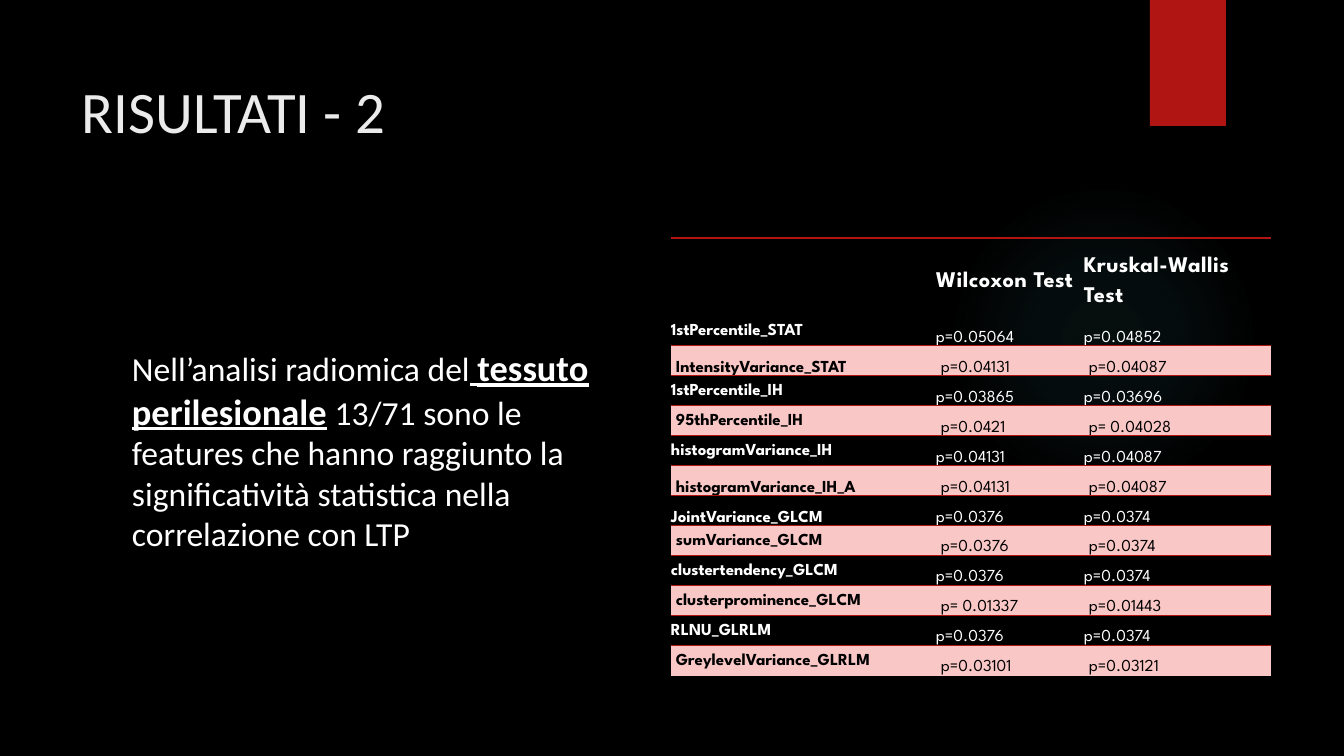
from lxml.etree import fromstring
from pptx import Presentation
from pptx.dml.color import RGBColor as RGB
from pptx.enum.shapes import MSO_SHAPE as SHAPE
from pptx.enum.text import MSO_ANCHOR as ANCHOR, MSO_AUTO_SIZE as AUTO, PP_ALIGN as ALIGN
from pptx.oxml.ns import nsdecls
from pptx.util import Pt

# Content
TITLE = "RISULTATI - 2"
FINDING = [
    ("Nell’analisi radiomica del", {"size": Pt(24)}),
    (" ", {"size": Pt(24), "underline": True}),
    ("tessuto perilesionale", {"size": Pt(26), "underline": True, "bold": True}),
    (" 13/71 sono le features che hanno raggiunto la significatività "
     "statistica nella correlazione con LTP", {"size": Pt(24)}),
]
TESTS = ("", "Wilcoxon Test", "Kruskal-Wallis Test")
FEATURES = [
    ("1stPercentile_STAT", "p=0.05064", "p=0.04852"),
    ("IntensityVariance_STAT", "p=0.04131", "p=0.04087"),
    ("1stPercentile_IH", "p=0.03865", "p=0.03696"),
    ("95thPercentile_IH", "p=0.0421", "p= 0.04028"),
    ("histogramVariance_IH", "p=0.04131", "p=0.04087"),
    ("histogramVariance_IH_A", "p=0.04131", "p=0.04087"),
    ("JointVariance_GLCM", "p=0.0376", "p=0.0374"),
    ("sumVariance_GLCM", "p=0.0376", "p=0.0374"),
    ("clustertendency_GLCM", "p=0.0376", "p=0.0374"),
    ("clusterprominence_GLCM", "p= 0.01337", "p=0.01443"),
    ("RLNU_GLRLM", "p=0.0376", "p=0.0374"),
    ("GreylevelVariance_GLRLM", "p=0.03101", "p=0.03121"),
]
LOW_NAMES = {"IntensityVariance_STAT", "histogramVariance_IH_A", "JointVariance_GLCM"}

# Look
COLORS = {"black": "000000", "white": "FFFFFF", "title": "EBEBEB",
          "red": "B01513", "pink": "F9C7C6", "glow": "50B9C1"}
TEXT_FONT, TABLE_FONT = "Calibri", "League Spartan"
GLOW_STOPS = [(0, 7), (36, 6), (69, 0)]  # position %, opacity %
NO_GRID_STYLE = "{2D5ABB26-0587-4C30-8999-92F81FD0307C}"
COLUMN_WIDTHS = (265, 148, 187)
HEADER_HEIGHT, ROW_HEIGHT = 78, 30


def px(length):
    return round(length * 914400 / 100.8)


def color(name):
    return RGB.from_string(COLORS[name])


def set_all(target, values):
    for name, value in values.items():
        setattr(target, name, value)


def place(shape, left, top, width, height):
    set_all(shape, {"left": px(left), "top": px(top),
                    "width": px(width), "height": px(height)})


def margins(left, top, right, bottom):
    return {"margin_left": px(left), "margin_top": px(top),
            "margin_right": px(right), "margin_bottom": px(bottom)}


def add_run(paragraph, text, font, color_name, values):
    run = paragraph.add_run()
    run.text = text
    set_all(run.font, {"name": font, **values})
    run.font.color.rgb = color(color_name)
    return run


def add_decoration(slide, kind, *box):
    shape = slide.shapes.add_shape(kind, *map(px, box))
    shape.shadow.inherit = False
    shape.line.fill.background()
    return shape


def add_glow(slide):
    glow = add_decoration(slide, SHAPE.OVAL, 949, 184, 310, 310)
    stops = "".join(
        f'<a:gs pos="{position * 1000}"><a:srgbClr val="{COLORS["glow"]}">'
        f'<a:alpha val="{opacity * 1000}"/></a:srgbClr></a:gs>'
        for position, opacity in GLOW_STOPS)
    gradient = fromstring(
        f'<a:gradFill {nsdecls("a")}><a:gsLst>{stops}</a:gsLst><a:path path="circle">'
        '<a:fillToRect l="50000" t="50000" r="50000" b="50000"/></a:path></a:gradFill>')
    glow.fill.background()
    properties = glow.element.spPr
    properties.replace(properties.find("{*}noFill"), gradient)


def top_border(cell, points):
    cell._tc.get_or_add_tcPr().insert(0, fromstring(
        f'<a:lnT {nsdecls("a")} w="{Pt(points)}"><a:solidFill>'
        f'<a:srgbClr val="{COLORS["red"]}"/></a:solidFill></a:lnT>'))


def fill_cell(cell, text, row, column):
    header, banded = row == 0, row > 0 and row % 2 == 0
    if banded:
        cell.fill.solid()
        cell.fill.fore_color.rgb = color("pink")
    else:
        cell.fill.background()
    if header or banded:
        top_border(cell, 1.5 if header else 0.75)
    if header:
        anchor = ANCHOR.MIDDLE
    else:
        anchor = ANCHOR.BOTTOM if column or text in LOW_NAMES else ANCHOR.TOP
    set_all(cell, {"vertical_anchor": anchor,
                   **margins(5 if banded else 0, 0, 1 if header else 8, 0)})
    if text:
        paragraph = cell.text_frame.paragraphs[0]
        paragraph.line_spacing = 1.5
        run = add_run(paragraph, text, TABLE_FONT, "black" if banded else "white",
                      {"size": Pt(16 if header else 12), "bold": header or column == 0})
        if header:
            run.font._element.set("spc", "30")


def add_results(slide):
    rows = [TESTS, *FEATURES]
    height = HEADER_HEIGHT + ROW_HEIGHT * len(FEATURES)
    frame = slide.shapes.add_table(len(rows), len(TESTS), px(671), px(238),
                                   px(sum(COLUMN_WIDTHS)), px(height))
    results = frame.table
    set_all(results, {"first_row": False, "horz_banding": False})
    results._tbl.tblPr.find("{*}tableStyleId").text = NO_GRID_STYLE
    for column, width in zip(results.columns, COLUMN_WIDTHS):
        column.width = px(width)
    for r, texts in enumerate(rows):
        results.rows[r].height = px(ROW_HEIGHT if r else HEADER_HEIGHT)
        for c, text in enumerate(texts):
            fill_cell(results.cell(r, c), text, r, c)


def main():
    deck = Presentation()
    set_all(deck, {"slide_width": px(1344), "slide_height": px(756)})
    slide = deck.slides.add_slide(deck.slide_layouts[1])
    slide.background.fill.solid()
    slide.background.fill.fore_color.rgb = color("black")

    # Background glow and red tab
    add_glow(slide)
    tab = add_decoration(slide, SHAPE.RECTANGLE, 1150, 0, 76, 126)
    tab.fill.solid()
    tab.fill.fore_color.rgb = color("red")

    # Title and finding
    title, finding = slide.shapes.title, slide.placeholders[1]
    place(title, 72, 70, 1020, 135)
    place(finding, 122, 226, 478, 463)
    for holder, top_margin in ((title, 5), (finding, 119)):
        set_all(holder.text_frame, {"word_wrap": True, "auto_size": AUTO.NONE,
                                    "vertical_anchor": ANCHOR.TOP,
                                    **margins(10, top_margin, 8, 5)})
        set_all(holder.text_frame.paragraphs[0],
                {"alignment": ALIGN.LEFT, "space_before": Pt(0)})
    add_run(title.text_frame.paragraphs[0], TITLE, TEXT_FONT, "title", {"size": Pt(42)})
    sentence = finding.text_frame.paragraphs[0]
    for text, values in FINDING:
        add_run(sentence, text, TEXT_FONT, "white", values)
    unbulleted = sentence._p.get_or_add_pPr()
    unbulleted.set("marL", "0")
    unbulleted.set("indent", "0")
    unbulleted.append(fromstring(f'<a:buNone {nsdecls("a")}/>'))

    # Test results
    add_results(slide)
    deck.save("out.pptx")


if __name__ == "__main__":
    main()
